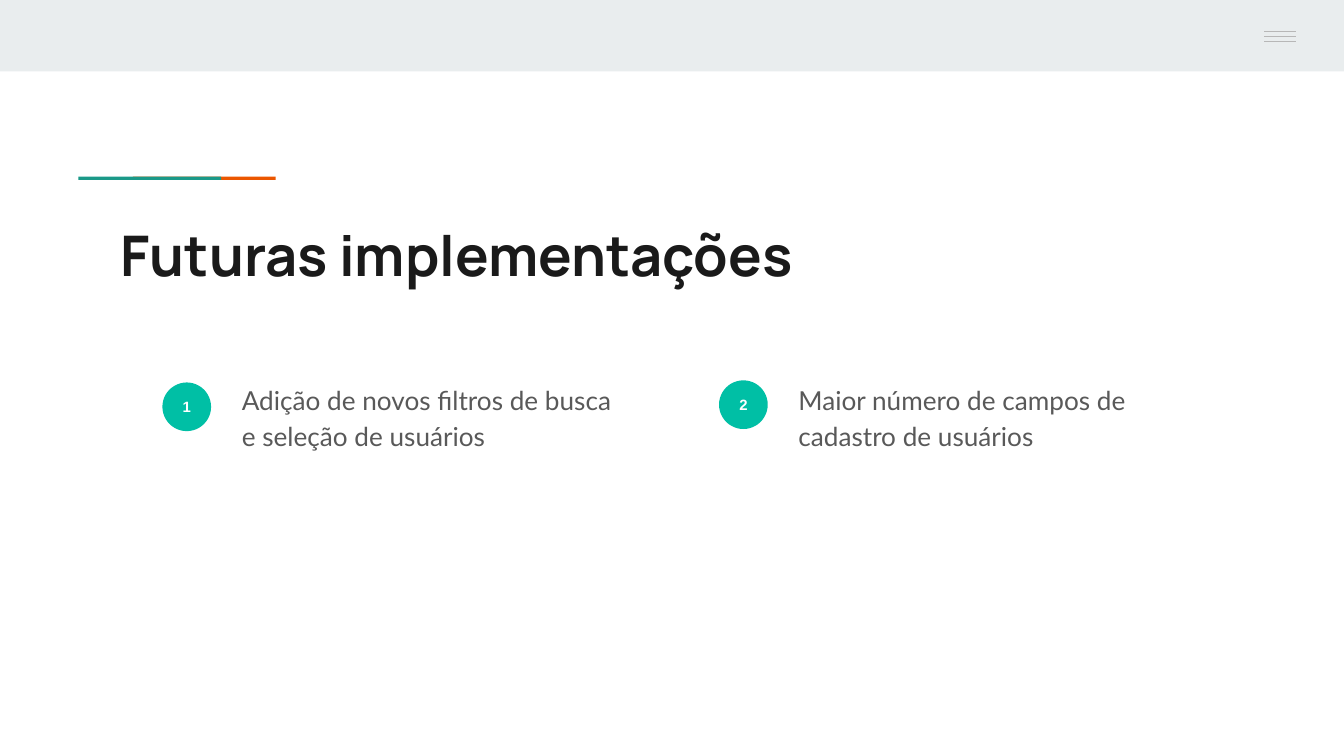
"""Builds the slide on future implementations."""
from lxml import etree
from pptx import Presentation
from pptx.dml.color import RGBColor
from pptx.enum import shapes, text
from pptx.oxml import ns
from pptx.util import Cm, Pt

MIST = RGBColor(0xE9, 0xED, 0xEE)
ORANGE = RGBColor(0xEB, 0x56, 0x00)
TEAL = RGBColor(0x1A, 0x99, 0x88)
MINT = RGBColor(0x00, 0xBF, 0xA5)
SILVER = RGBColor(0xB7, 0xB7, 0xB7)
INK = RGBColor(0x1A, 0x1A, 0x1A)
GRAY = RGBColor(0x59, 0x59, 0x59)
WHITE = RGBColor(0xFF, 0xFF, 0xFF)


class SlideBuilder:
    """Holds the style and the current slide."""

    inset = Cm(0.25)

    def __init__(self, page):
        self.page = page

    def shape(self, kind, left, top, width, height, color):
        """Add a filled shape without outline."""
        shape = self.page.shapes.add_shape(kind, Cm(left), Cm(top), Cm(width), Cm(height))
        shape.shadow.inherit = False
        shape.fill.solid()
        shape.fill.fore_color.rgb = color
        shape.line.fill.background()
        return shape

    def bar(self, left, top, width, height, color):
        """Add a plain rectangle."""
        return self.shape(shapes.MSO_SHAPE.RECTANGLE, left, top, width, height, color)

    def rule(self, left, top, width):
        """Add a thin horizontal line."""
        line = self.page.shapes.add_connector(
            shapes.MSO_CONNECTOR.STRAIGHT, Cm(left), Cm(top), Cm(left + width), Cm(top))
        line.line.color.rgb = SILVER
        line.line.width = Pt(0.75)
        etree.SubElement(line._element.spPr, ns.qn("a:effectLst"))

    def add_words(self, shape, words, font, size, color, bold=False):
        """Put one run into a shape and return its paragraph."""
        frame = shape.text_frame
        frame.word_wrap = True
        frame.margin_left = frame.margin_right = self.inset
        frame.margin_top = frame.margin_bottom = self.inset
        para = frame.paragraphs[0]
        span = para.add_run()
        span.text = words
        span.font.name = font
        span.font.size = Pt(size)
        span.font.bold = bold
        span.font.color.rgb = color
        return para

    def text(self, left, top, width, height, words, font, size, color, bold=False):
        """Add a text box with one paragraph."""
        box = self.page.shapes.add_textbox(Cm(left), Cm(top), Cm(width), Cm(height))
        box.text_frame.vertical_anchor = text.MSO_ANCHOR.TOP
        return self.add_words(box, words, font, size, color, bold)

    def badge(self, left, top, number):
        """Add a numbered circle."""
        circle = self.shape(shapes.MSO_SHAPE.OVAL, left, top, 0.92, 0.92, MINT)
        circle.text_frame.vertical_anchor = text.MSO_ANCHOR.MIDDLE
        para = self.add_words(circle, str(number), "Arial", 8, WHITE, True)
        para.alignment = text.PP_ALIGN.CENTER

    def item(self, left, badge_top, number, words):
        """Add a badge with its description."""
        self.badge(left, badge_top, number)
        para = self.text(left + 1.25, 6.93, 7.87, 2.92, words, "Lato", 14, GRAY)
        para.line_spacing = 1.15
        para.space_after = Pt(16)


def main():
    """Build and save the deck."""
    deck = Presentation()
    deck.slide_width, deck.slide_height = Cm(25.4), Cm(14.29)
    builder = SlideBuilder(deck.slides.add_slide(deck.slide_layouts[6]))

    builder.bar(0, 0, 25.4, 1.35, MIST)
    for left, color in ((2.51, ORANGE), (1.48, TEAL)):
        builder.bar(left, 3.34, 2.7, 0.06, color)
    builder.bar(23.01, 0, 2.39, 1.27, MIST)
    for step in range(3):
        builder.rule(23.89, 0.59 + step * 0.1, 0.6)

    builder.text(2.03, 3.91, 21.36, 1.5, "Futuras implementações", "Manrope", 30, INK, True)
    items = (
        (3.07, 7.23, "Adição de novos filtros de busca e seleção de usuários"),
        (13.59, 7.19, "Maior número de campos de cadastro de usuários"),
    )
    for number, (left, badge_top, words) in enumerate(items, 1):
        builder.item(left, badge_top, number, words)
    deck.save("out.pptx")


if __name__ == "__main__":
    main()
